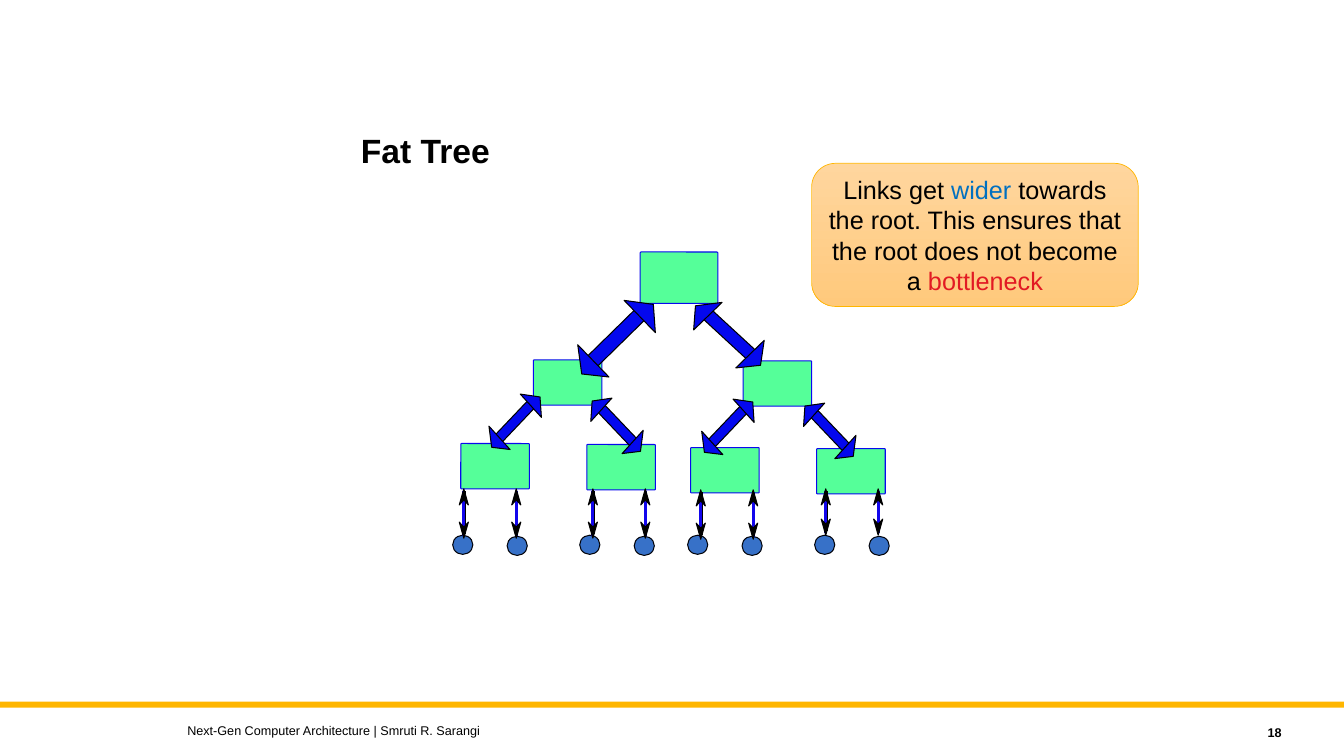
from dataclasses import dataclass

from lxml import etree
from pptx import Presentation
from pptx import util as u
from pptx.dml.color import RGBColor
from pptx.enum import shapes, text
from pptx.oxml.ns import qn

PX = 9144  # EMU per px, 100 px to the inch


@dataclass(frozen=True)
class Theme:
    font: str = "Arial"
    title: int = 24
    body: int = 18
    small: int = 9
    black: str = "000000"
    gold: str = "FFB600"
    note_top: str = "FFD69E"
    note_end: str = "FFC97C"
    wide: str = "0070C0"
    alert: str = "E21A23"
    switch: str = "55FF99"
    switch_edge: str = "0908EE"
    host: str = "3771C8"
    host_edge: str = "03040B"
    link: str = "0408EE"
    wire: str = "1306EC"


class TreeSlide:
    # Wide double arrow leaning right, drawn on a 77 x 76 px field
    FIELD = (77, 76)
    ARROW = (
        ((60, 6), (70, 16), (17, 68), (7, 58)),
        ((0, 44), (31, 76), (4, 73)),
        ((46, 0), (77, 32), (75, 4)),
    )

    def __init__(self, prs, theme):
        self.t = theme
        self.s = prs.slides.add_slide(prs.slide_layouts[6])

    def paint(self, sp, fill, edge=None, width=0):
        sp.shadow.inherit = False
        if fill:
            sp.fill.solid()
            sp.fill.fore_color.rgb = RGBColor.from_string(fill)
        if edge:
            sp.line.color.rgb = RGBColor.from_string(edge)
            sp.line.width = u.Pt(width)
        else:
            sp.line.fill.background()

    def shape(self, kind, box, fill, edge=None, width=0, corner=None):
        sp = self.s.shapes.add_shape(kind, *(v * PX for v in box))
        self.paint(sp, fill, edge, width)
        if corner is not None:
            sp.adjustments[0] = corner
        return sp

    def set_text(self, tf, runs, size, bold=False, inset=None, **para):
        frame = {"word_wrap": True, "vertical_anchor": text.MSO_ANCHOR.MIDDLE}
        if inset is not None:
            frame.update({f"margin_{side}": inset for side in ("left", "right", "top", "bottom")})
        p = tf.paragraphs[0]
        for target, values in ((tf, frame), (p, para)):
            for name, value in values.items():
                setattr(target, name, value)
        for words, color in runs:
            r = p.add_run()
            r.text = words
            for name, value in {"name": self.t.font, "size": u.Pt(size), "bold": bold}.items():
                setattr(r.font, name, value)
            r.font.color.rgb = RGBColor.from_string(color)

    def label(self, box, words, size, **style):
        sp = self.s.shapes.add_textbox(*(v * PX for v in box))
        self.set_text(sp.text_frame, [(words, self.t.black)], size, **style)

    def note(self, box, runs):
        sp = self.shape(shapes.MSO_SHAPE.ROUNDED_RECTANGLE, box, None, self.t.gold, 0.5)
        sp.fill.gradient()
        sp.fill.gradient_angle = 270
        for stop, color in zip(sp.fill.gradient_stops, (self.t.note_top, self.t.note_end)):
            stop.color.rgb = RGBColor.from_string(color)
        self.set_text(sp.text_frame, runs, self.t.body, alignment=text.PP_ALIGN.CENTER)

    def switch(self, x, y, w=68, h=45):
        self.shape(shapes.MSO_SHAPE.ROUNDED_RECTANGLE, (x, y, w, h),
                   self.t.switch, self.t.switch_edge, corner=0.02)

    def host(self, x, y):
        self.shape(shapes.MSO_SHAPE.OVAL, (x, y, 20, 19), self.t.host, self.t.host_edge)

    def polygon(self, points, fill):
        points = [(round(x * PX), round(y * PX)) for x, y in points]
        builder = self.s.shapes.build_freeform(*points[0], scale=1.0)
        builder.add_line_segments(points[1:], close=True)
        self.paint(builder.convert_to_shape(), fill, self.t.black)

    def link(self, x, y, w, h, mirrored):
        """Wide double arrow that fills the given box."""
        fw, fh = self.FIELD
        for part in self.ARROW:
            self.polygon([(x + (fw - a if mirrored else a) * w / fw, y + b * h / fh)
                          for a, b in part], self.t.link)

    def line(self, x, top, bottom, color):
        c = self.s.shapes.add_connector(shapes.MSO_CONNECTOR.STRAIGHT,
                                        x * PX, top * PX, x * PX, bottom * PX)
        c.line.color.rgb = RGBColor.from_string(color)
        c.line.width = 0
        etree.SubElement(c._element.spPr, qn("a:effectLst"))

    def wire(self, x, top, length, doubled):
        """Thin double arrow, with a second line beside it if doubled."""
        bottom = top + length
        if doubled:
            self.line(x + 1, top + 2, bottom - 4, self.t.black)
        self.line(x, top + 2, bottom - 2, self.t.wire)
        for tip, way in ((top, 1), (bottom, -1)):
            self.polygon([(x, tip + 11 * way), (x + 4.5, tip + 16 * way),
                          (x, tip), (x - 4.5, tip + 16 * way)], self.t.black)


def main():
    prs = Presentation()
    prs.slide_width, prs.slide_height = u.Inches(13.33), u.Inches(7.5)
    t = Theme()
    s = TreeSlide(prs, t)

    # Footer and title
    s.shape(shapes.MSO_SHAPE.RECTANGLE, (0, 696, 1333, 6), t.gold)
    s.label((176, 712, 800, 25), "Next-Gen Computer Architecture | Smruti R. Sarangi", t.small)
    s.label((1141, 714, 140, 25), "18", t.small, bold=True, alignment=text.PP_ALIGN.RIGHT)
    s.label((358, 113, 608, 77), "Fat Tree", t.title, bold=True, inset=0, line_spacing=0.9)

    # Leaves: switch x, y; first host x; first wire x, top, length
    leaves = (
        (457, 440, 449, 460, 485, 49),
        (582, 441, 575, 588, 485, 49),
        (685, 444, 682, 695, 486, 49),
        (810, 445, 808, 819, 485, 46),
    )

    # Switches and hosts
    s.switch(635, 250, 77, 51)
    s.switch(529, 357)
    s.switch(737, 358)
    for x, y, host_x, *_ in leaves:
        s.switch(x, y)
        for i in range(2):
            s.host(host_x + 54 * i, 531 + i)

    # Wide links, root level first
    s.link(573, 298, 77, 76, False)
    s.link(688, 300, 70, 65, True)
    for i, (x, y) in enumerate(((485, 391), (586, 395), (696, 396), (797, 400))):
        s.link(x, y, 52, 55, i % 2 == 1)

    # Thin wires to the hosts
    for *_, wire_x, top, length in leaves:
        for i in range(2):
            s.wire(wire_x + 52 * i, top, length, doubled=i == 0)

    # Callout
    s.note((805, 162, 324, 142), [
        ("Links get ", t.black),
        ("wider", t.wide),
        (" towards the root. This ensures that the root does not become a ", t.black),
        ("bottleneck", t.alert),
    ])

    prs.save("out.pptx")


if __name__ == "__main__":
    main()
